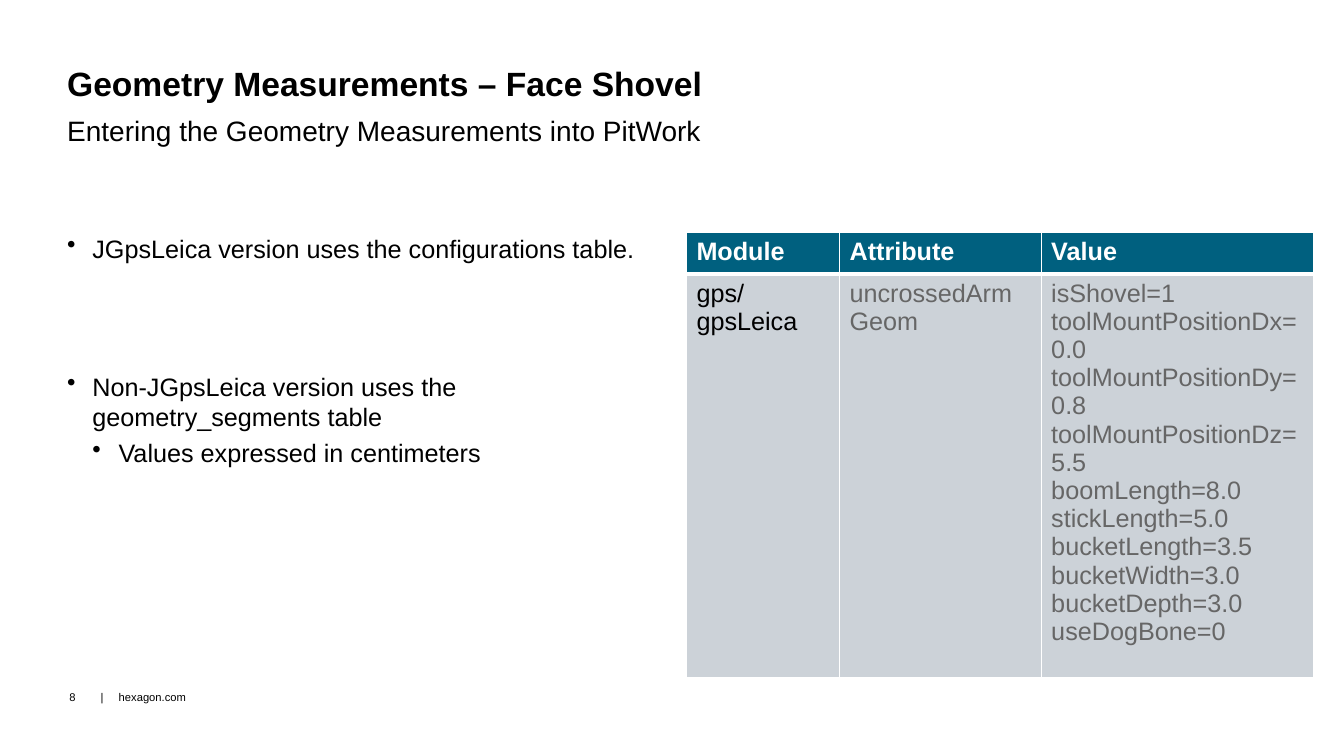
from pptx import Presentation
from pptx.util import Pt
from pptx.dml.color import RGBColor
from pptx.enum.text import MSO_ANCHOR, PP_ALIGN
from pptx.oxml import parse_xml
from pptx.oxml.ns import nsdecls


def add_run(para, text, size, color="000000", bold=False):
    run = para.add_run()
    run.text = text
    font = run.font
    font.name, font.size, font.bold = "Arial", Pt(size), bold
    font.color.rgb = RGBColor.from_string(color)


def set_frame(shape, side, edge, anchor=MSO_ANCHOR.TOP):
    frame = shape.text_frame
    frame.word_wrap = True
    frame.margin_left = frame.margin_right = Pt(side)
    frame.margin_top = frame.margin_bottom = Pt(edge)
    frame.vertical_anchor = anchor
    return frame


deck = Presentation()
deck.slide_width, deck.slide_height = Pt(960), Pt(540)
slide = deck.slides.add_slide(deck.slide_layouts[5])
shapes = slide.shapes

# Title
title = shapes.title
title.left, title.top, title.width, title.height = Pt(48), Pt(48), Pt(864), Pt(32.4)
para = set_frame(title, 0, 0).paragraphs[0]
para.alignment = PP_ALIGN.LEFT
para.line_spacing = 0.9
add_run(para, "Geometry Measurements – Face Shovel", 24, bold=True)

# Subtitle
box = shapes.add_textbox(Pt(48), Pt(80.6), Pt(864), Pt(32.4))
para = set_frame(box, 0, 3.6).paragraphs[0]
para.line_spacing = 0.9
add_run(para, "Entering the Geometry Measurements into PitWork", 20)

# Bullets: text, left margin, hanging indent, space before
points = [
    ("JGpsLeica version uses the configurations table.", 18, 18, 0),
    ("Non-JGpsLeica version uses the geometry_segments table", 18, 18, 77),
    ("Values expressed in centimeters", 36.7, 18.7, 4),
]
box = shapes.add_textbox(Pt(48), Pt(166.3), Pt(422), Pt(296.6))
frame = set_frame(box, 0, 0)
for i, (text, left, hang, gap) in enumerate(points):
    para = frame.paragraphs[0] if i == 0 else frame.add_paragraph()
    para.level = 1 if left > 18 else 0
    props = para._p.get_or_add_pPr()
    props.set("marL", str(Pt(left)))
    props.set("indent", str(-Pt(hang)))
    props.append(parse_xml(f'<a:buChar {nsdecls("a")} char="•"/>'))
    para.line_spacing = 1.0
    para.space_before = Pt(gap)
    add_run(para, text, 18)

# Settings table
values = [
    "isShovel=1",
    "toolMountPositionDx=0.0",
    "toolMountPositionDy=0.8",
    "toolMountPositionDz=5.5",
    "boomLength=8.0",
    "stickLength=5.0",
    "bucketLength=3.5",
    "bucketWidth=3.0",
    "bucketDepth=3.0",
    "useDogBone=0",
]
rows = [
    [["Module"], ["Attribute"], ["Value"]],
    [["gps/gpsLeica"], ["uncrossedArmGeom"], values],
]
table = shapes.add_table(2, 3, Pt(490.3), Pt(166.3), Pt(447.8), Pt(297.5)).table
for col, width in zip(table.columns, (109.4, 144, 194.4)):
    col.width = Pt(width)
for row, height in zip(table.rows, (29.5, 268)):
    row.height = Pt(height)
for r, row in enumerate(rows):
    for c, lines in enumerate(row):
        cell = table.cell(r, c)
        head = r == 0
        color = "FFFFFF" if head else "000000" if c == 0 else "666666"
        for i, line in enumerate(lines):
            frame = cell.text_frame
            para = frame.paragraphs[0] if i == 0 else frame.add_paragraph()
            add_run(para, line, 18, color, head)
        # White borders, thick between header and body
        props = cell._tc.get_or_add_tcPr()
        for side in "LRTB":
            thick = (head and side == "B") or (not head and side == "T")
            props.append(parse_xml(
                f'<a:ln{side} {nsdecls("a")} w="{Pt(3 if thick else 1)}"><a:solidFill>'
                f'<a:srgbClr val="FFFFFF"/></a:solidFill></a:ln{side}>'))
        cell.fill.solid()
        cell.fill.fore_color.rgb = RGBColor.from_string("00607F" if head else "CCD2D8")

# Footer
for left, width, text in ((42.5, 30, "8"), (64.8, 324, "|\thexagon.com")):
    box = shapes.add_textbox(Pt(left), Pt(483.8), Pt(width), Pt(28.8))
    para = set_frame(box, 7.2, 3.6, MSO_ANCHOR.MIDDLE).paragraphs[0]
    if "\t" in text:
        para._p.get_or_add_pPr().append(parse_xml(
            f'<a:tabLst {nsdecls("a")}><a:tab pos="{Pt(12.9)}" algn="l"/></a:tabLst>'))
    add_run(para, text, 8)

deck.save("out.pptx")
